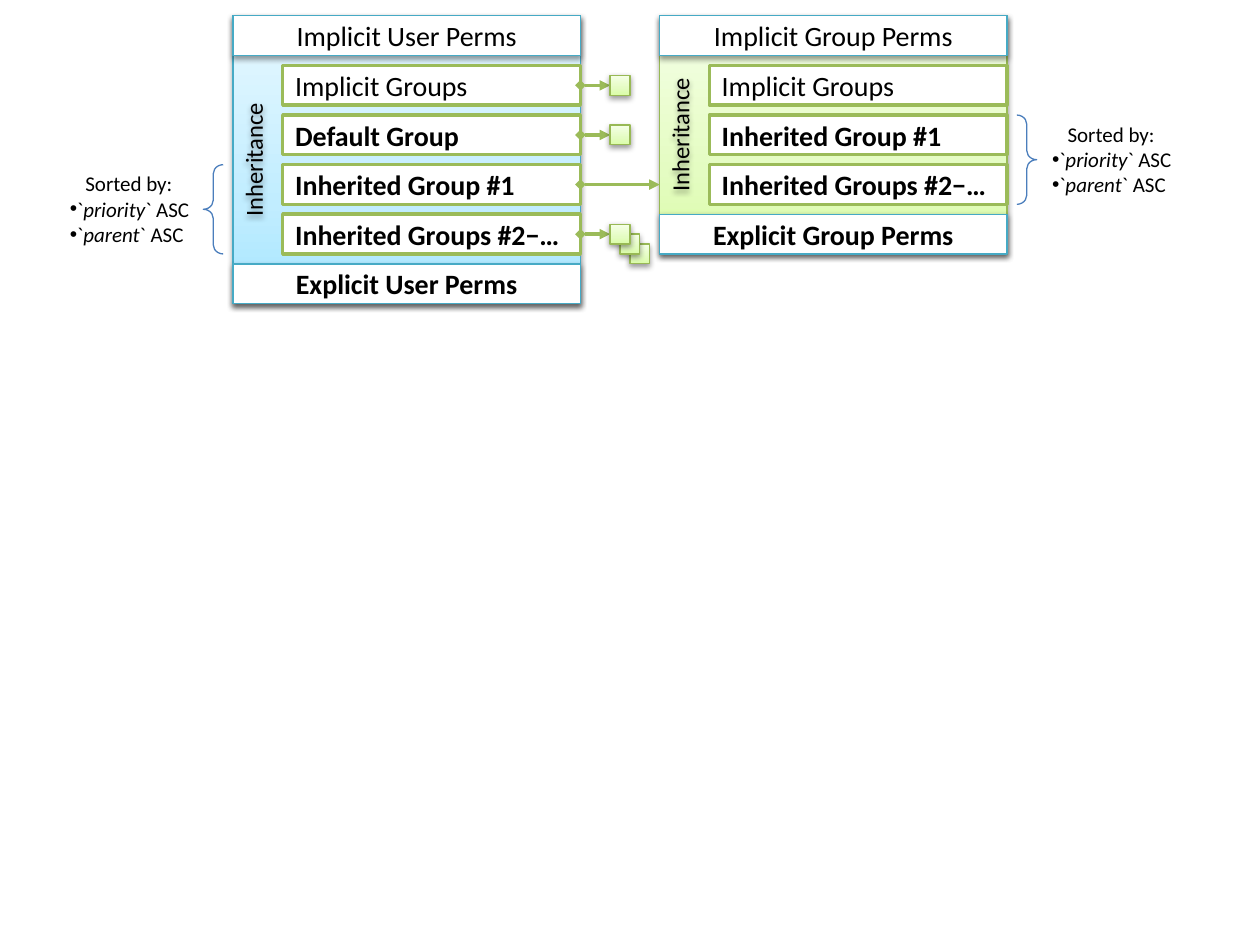
from lxml import etree
from pptx import Presentation
from pptx import util as u
from pptx.dml.color import RGBColor
from pptx.enum import shapes, text
from pptx.oxml.ns import qn

PX = u.Inches(1) // 127
FONT = "Calibri"
BLACK = RGBColor(0x00, 0x00, 0x00)
WHITE = RGBColor(0xFF, 0xFF, 0xFF)
TEAL = RGBColor(0x46, 0xAA, 0xC5)
GREEN = RGBColor(0x9B, 0xBB, 0x59)
GREEN_EDGE = RGBColor(0x98, 0xB9, 0x55)
BRACE_BLUE = RGBColor(0x4B, 0x7E, 0xBC)
GREEN_STOPS = (RGBColor(0xDA, 0xFD, 0xA7), RGBColor(0xE4, 0xFC, 0xC2), RGBColor(0xF5, 0xFF, 0xE7))
BLUE_STOPS = (RGBColor(0xA7, 0xE6, 0xFF), RGBColor(0xC1, 0xED, 0xFF), RGBColor(0xE7, 0xF8, 0xFF))
STOP_POSITIONS = (0, 35, 100)

TOP, PITCH, BAR_HEIGHT = 16, 50, 40
PANEL_WIDTH, ENTRY_INDENT = 350, 50
USER_LEFT, GROUP_LEFT = 235, 665
USER_RIGHT = USER_LEFT + PANEL_WIDTH
SQUARE, SQUARE_LEFT = 20, 615


def box(left, top, width, height):
    return [u.Emu(value * PX) for value in (left, top, width, height)]


def row_top(row):
    return TOP + row * PITCH


def row_middle(row):
    return row_top(row) + BAR_HEIGHT // 2


def add_shadow(shape):
    shape.shadow.inherit = False
    effects = shape._element.spPr.find(qn("a:effectLst"))
    shadow = etree.SubElement(effects, qn("a:outerShdw"), blurRad="40000", dist="20000",
                              dir="5400000", rotWithShape="0")
    color = etree.SubElement(shadow, qn("a:srgbClr"), val=str(BLACK))
    etree.SubElement(color, qn("a:alpha"), val="38000")


def fill_gradient(shape, colors):
    shape.fill.gradient()
    shape.fill.gradient_angle = 90
    stops = shape._element.spPr.find(".//" + qn("a:gsLst"))
    for stop in list(stops):
        stops.remove(stop)
    for position, color in zip(STOP_POSITIONS, colors):
        stop = etree.SubElement(stops, qn("a:gs"), pos=str(position * 1000))
        etree.SubElement(stop, qn("a:srgbClr"), val=str(color))


def format_runs(paragraph, size, bold=False):
    for run in paragraph.runs:
        run.font.name = FONT
        run.font.size = u.Pt(size)
        run.font.color.rgb = BLACK
        run.font.bold = bold


def set_label(shape, label, size, alignment, bold=False):
    frame = shape.text_frame
    frame.text = label
    frame.word_wrap = True
    frame.vertical_anchor = text.MSO_ANCHOR.MIDDLE
    frame.paragraphs[0].alignment = alignment
    format_runs(frame.paragraphs[0], size, bold)


def add_rectangle(slide, bounds, line_color, line_width):
    shape = slide.shapes.add_shape(shapes.MSO_SHAPE.RECTANGLE, *box(*bounds))
    shape.shadow.inherit = False
    shape.line.color.rgb = line_color
    shape.line.width = u.Pt(line_width)
    return shape


def add_gradient_box(slide, bounds, colors, line_color):
    shape = add_rectangle(slide, bounds, line_color, 0.75)
    fill_gradient(shape, colors)
    add_shadow(shape)


def add_bar(slide, left, row, label, bold=False):
    shape = add_rectangle(slide, (left, row_top(row), PANEL_WIDTH, BAR_HEIGHT), TEAL, 0.75)
    shape.fill.solid()
    shape.fill.fore_color.rgb = WHITE
    add_shadow(shape)
    set_label(shape, label, 16, text.PP_ALIGN.CENTER, bold)


def add_entry(slide, left, row, label, bold):
    bounds = (left + ENTRY_INDENT, row_top(row), PANEL_WIDTH - ENTRY_INDENT, BAR_HEIGHT)
    shape = add_rectangle(slide, bounds, GREEN, 2)
    shape.fill.solid()
    shape.fill.fore_color.rgb = WHITE
    set_label(shape, label, 16, text.PP_ALIGN.LEFT, bold)


def add_inheritance(slide, left, middle, length):
    center = left + 20
    shape = slide.shapes.add_textbox(
        *box(center - length // 2, middle - BAR_HEIGHT // 2, length, BAR_HEIGHT))
    shape.rotation = 270
    add_shadow(shape)
    set_label(shape, "Inheritance", 14, text.PP_ALIGN.CENTER)


def add_panel(slide, left, owner, entries, colors, edge):
    last_row = len(entries) + 1
    height = last_row * PITCH + BAR_HEIGHT
    add_gradient_box(slide, (left, TOP, PANEL_WIDTH, height), colors, edge)
    add_bar(slide, left, 0, f"Implicit {owner} Perms")
    for row, label in enumerate(entries, 1):
        add_entry(slide, left, row, label, bold=row > 1)
    add_bar(slide, left, last_row, f"Explicit {owner} Perms", bold=True)
    add_inheritance(slide, left, TOP + height // 2, height - 2 * BAR_HEIGHT)


def add_arrow(slide, row, end):
    start_x, middle, end_x = box(USER_RIGHT, row_middle(row), end, 0)[:3]
    arrow = slide.shapes.add_connector(
        shapes.MSO_CONNECTOR.STRAIGHT, start_x, middle, end_x, middle)
    arrow.line.color.rgb = GREEN
    arrow.line.width = u.Pt(2)
    line = arrow.line._get_or_add_ln()
    etree.SubElement(line, qn("a:headEnd"), type="diamond")
    etree.SubElement(line, qn("a:tailEnd"), type="triangle")
    etree.SubElement(arrow._element.spPr, qn("a:effectLst"))


def add_squares(slide, row, count=1):
    for step in reversed(range(count)):
        offset = step * SQUARE // 2
        bounds = (SQUARE_LEFT + offset, row_middle(row) - SQUARE // 2 + offset, SQUARE, SQUARE)
        add_gradient_box(slide, bounds, GREEN_STOPS, GREEN_EDGE)


def add_brace(slide, left, row, flipped):
    brace = slide.shapes.add_shape(
        shapes.MSO_SHAPE.LEFT_BRACE, *box(left, row_top(row), 20, PITCH + BAR_HEIGHT))
    brace.adjustments[0] = 0.46
    brace.fill.background()
    brace.line.color.rgb = BRACE_BLUE
    brace.line.width = u.Pt(0.75)
    brace.shadow.inherit = False
    if flipped:
        brace._element.spPr.find(qn("a:xfrm")).set("flipH", "1")


def add_sort_note(slide, left, row):
    shape = slide.shapes.add_textbox(*box(left, row_top(row), 170, PITCH + BAR_HEIGHT))
    frame = shape.text_frame
    frame.word_wrap = True
    frame.text = "Sorted by:"
    frame.paragraphs[0].alignment = text.PP_ALIGN.CENTER
    for field in ("priority", "parent"):
        paragraph = frame.add_paragraph()
        for part in ("`", field, "` ASC"):
            run = paragraph.add_run()
            run.text = part
            run.font.italic = part == field
        properties = paragraph._p.get_or_add_pPr()
        properties.set("marL", "0")
        properties.set("indent", str(13 * PX))
        etree.SubElement(properties, qn("a:buFont"), typeface="Arial")
        etree.SubElement(properties, qn("a:buChar"), char="•")
    for paragraph in frame.paragraphs:
        format_runs(paragraph, 12)


def main():
    presentation = Presentation()
    presentation.slide_width = u.Inches(10)
    presentation.slide_height = u.Inches(7.5)
    slide = presentation.slides.add_slide(presentation.slide_layouts[6])

    inherited = ["Inherited Group #1", "Inherited Groups #2−…"]
    add_panel(slide, GROUP_LEFT, "Group", ["Implicit Groups"] + inherited,
              GREEN_STOPS, GREEN_EDGE)
    add_panel(slide, USER_LEFT, "User", ["Implicit Groups", "Default Group"] + inherited,
              BLUE_STOPS, TEAL)

    for row, end in ((1, SQUARE_LEFT), (2, SQUARE_LEFT), (3, GROUP_LEFT), (4, SQUARE_LEFT)):
        add_arrow(slide, row, end)
    for row, count in ((1, 1), (2, 1), (4, 3)):
        add_squares(slide, row, count)

    for brace_left, note_left, row, flipped in ((205, 45, 3, False), (1025, 1035, 2, True)):
        add_brace(slide, brace_left, row, flipped)
        add_sort_note(slide, note_left, row)

    presentation.save("out.pptx")


if __name__ == "__main__":
    main()
